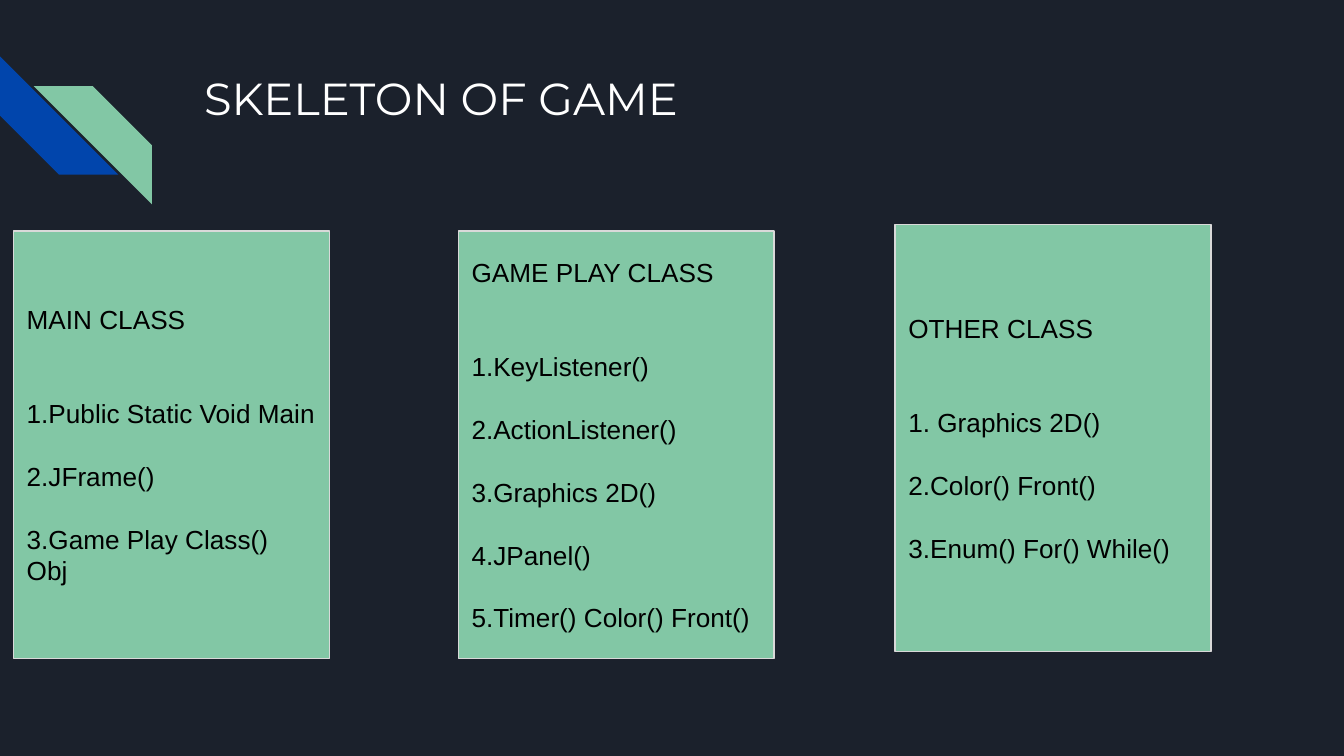
"""Build the "Skeleton of game" slide with its three class cards."""
import dataclasses

import pptx
import pptx.dml.color
import pptx.enum.shapes
import pptx.enum.text
import pptx.util

Inches = pptx.util.Inches
Pt = pptx.util.Pt
Color = pptx.dml.color.RGBColor.from_string


@dataclasses.dataclass(frozen=True)
class Theme:
    background: str = "1B212C"
    blue: str = "0145AC"
    green: str = "82C7A5"
    border: str = "D9D9D9"
    white: str = "FFFFFF"
    black: str = "000000"
    title_size: float = 24
    body_size: float = 14
    line_gap: float = 16.8
    border_width: float = 0.75


theme = Theme()


def add_filled_shape(kind, left, top, width, height, color):
    shape = page.shapes.add_shape(kind, Inches(left), Inches(top), Inches(width), Inches(height))
    shape.shadow.inherit = False
    shape.fill.solid()
    shape.fill.fore_color.rgb = Color(color)
    shape.line.fill.background()
    return shape


def format_text(frame, font_name, size, color):
    frame.word_wrap = True
    frame.margin_left = frame.margin_right = Inches(0.1)
    frame.margin_top = frame.margin_bottom = Inches(0.1)
    for para in frame.paragraphs:
        para.alignment = pptx.enum.text.PP_ALIGN.LEFT
        for span in para.runs:
            span.font.name = font_name
            span.font.size = Pt(size)
            span.font.color.rgb = Color(color)


deck = pptx.Presentation()
deck.slide_width = Inches(10)
deck.slide_height = Inches(10 * 9 / 16)
page = deck.slides.add_slide(deck.slide_layouts[6])
page.background.fill.solid()
page.background.fill.fore_color.rgb = Color(theme.background)

for left, top, rotation, color in [(0, 0.42, 270, theme.blue), (0.25, 0.64, 90, theme.green)]:
    stripe = add_filled_shape(
        pptx.enum.shapes.MSO_SHAPE.DIAGONAL_STRIPE, left, top, 0.88, 0.88, color)
    stripe.rotation = rotation

title = page.shapes.add_textbox(Inches(1.42), Inches(0.43), Inches(7.7), Inches(1))
title.text_frame.text = "SKELETON OF GAME"
format_text(title.text_frame, "Montserrat", theme.title_size, theme.white)

cards = [
    (0.1, 1.72, "MAIN CLASS",
     ["1.Public Static Void Main", "2.JFrame()", "3.Game Play Class() Obj"]),
    (3.41, 1.72, "GAME PLAY CLASS",
     ["1.KeyListener()", "2.ActionListener()", "3.Graphics 2D()", "4.JPanel()",
      "5.Timer() Color() Front()"]),
    (6.66, 1.67, "OTHER CLASS",
     ["1. Graphics 2D()", "2.Color() Front()", "3.Enum() For() While()"]),
]
for left, top, heading, items in cards:
    card = add_filled_shape(
        pptx.enum.shapes.MSO_SHAPE.RECTANGLE, left, top, 2.35, 3.18, theme.green)
    card.line.color.rgb = Color(theme.border)
    card.line.width = Pt(theme.border_width)
    frame = card.text_frame
    frame.vertical_anchor = pptx.enum.text.MSO_ANCHOR.MIDDLE
    frame.text = "\n".join([heading] + items)
    format_text(frame, "Arial", theme.body_size, theme.black)
    for index, para in enumerate(frame.paragraphs[1:]):
        para.space_before = Pt(theme.line_gap * (2 if index == 0 else 1))

deck.save("out.pptx")
